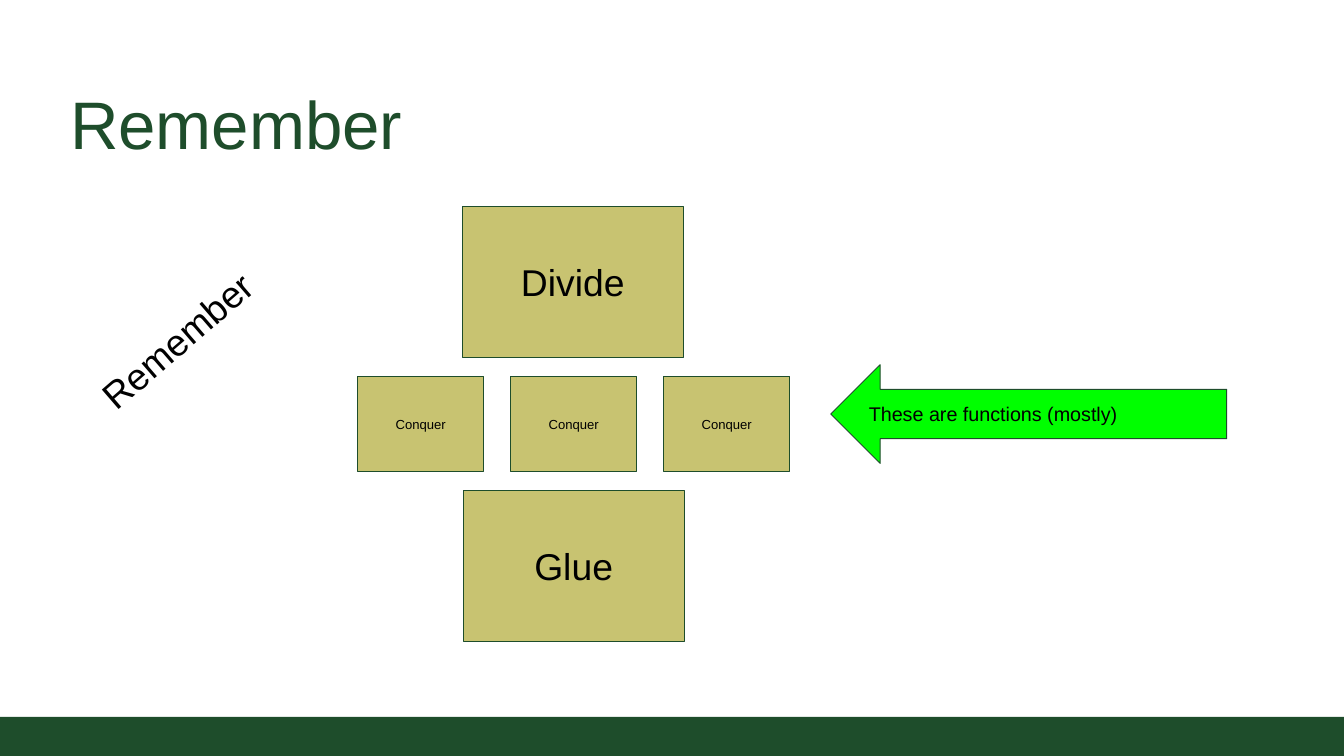
from pptx import Presentation
from pptx import util as u
from pptx.dml.color import RGBColor
from pptx.enum import shapes, text

PX = 9144
GREEN = RGBColor(0x1E, 0x4D, 0x2B)
SAND = RGBColor(0xC8, 0xC3, 0x71)
LIME = RGBColor(0x00, 0xFF, 0x00)
BLACK = RGBColor(0x00, 0x00, 0x00)

RECTANGLE = shapes.MSO_SHAPE.RECTANGLE
LEFT_ARROW = shapes.MSO_SHAPE.LEFT_ARROW
LEFT, CENTER = text.PP_ALIGN.LEFT, text.PP_ALIGN.CENTER
TOP, MIDDLE, BOTTOM = (text.MSO_ANCHOR.TOP, text.MSO_ANCHOR.MIDDLE,
                       text.MSO_ANCHOR.BOTTOM)


def emu(*lengths):
    """Turn px lengths into EMU."""
    return [u.Emu(length * PX) for length in lengths]


def write(shape, words, size, color=BLACK, align=LEFT, anchor=MIDDLE, inset=15):
    """Fill a shape with one formatted line of text."""
    frame = shape.text_frame
    frame.word_wrap = True
    frame.vertical_anchor = anchor
    (frame.margin_left, frame.margin_top,
     frame.margin_right, frame.margin_bottom) = emu(*[inset] * 4)
    frame.text = words
    paragraph = frame.paragraphs[0]
    paragraph.alignment = align
    font = paragraph.runs[0].font
    font.name, font.size = "Arial", u.Pt(size)
    font.color.rgb = color


def add_label(slide, box, words, size, **style):
    """Add a text box and return it."""
    label = slide.shapes.add_textbox(*emu(*box))
    write(label, words, size, **style)
    return label


def add_block(slide, kind, box, fill, outlined=True):
    """Add a filled preset shape and return it."""
    block = slide.shapes.add_shape(kind, *emu(*box))
    block.shadow.inherit = False
    block.fill.solid()
    block.fill.fore_color.rgb = fill
    if outlined:
        block.line.color.rgb = GREEN
        block.line.width = u.Pt(0.75)
    else:
        block.line.fill.background()
    return block


def add_step(slide, box, words, size):
    """Add a sand-coloured step of the method."""
    step = add_block(slide, RECTANGLE, box, SAND)
    write(step, words, size, align=CENTER)


def main():
    """Build the slide and save it."""
    presentation = Presentation()
    presentation.slide_width, presentation.slide_height = emu(1511, 850)
    slide = presentation.slides.add_slide(presentation.slide_layouts[6])

    add_block(slide, RECTANGLE, (0, 806, 1511, 44), GREEN, outlined=False)
    add_label(slide, (69, 82, 1374, 111), "Remember", 54.4,
              color=GREEN, anchor=BOTTOM, inset=10)

    add_step(slide, (520, 232, 248, 170), "Divide", 30.2)
    for column in range(3):
        add_step(slide, (402 + 172 * column, 423, 142, 107), "Conquer", 10.6)
    add_step(slide, (521, 551, 248, 170), "Glue", 30.2)

    reminder = add_label(slide, (78, 311, 324, 107), "Remember", 30.2, anchor=TOP)
    reminder.rotation = 319.2

    arrow = add_block(slide, LEFT_ARROW, (934, 410, 445, 111), LIME)
    write(arrow, "These are functions (mostly)", 16)

    presentation.save("out.pptx")


if __name__ == "__main__":
    main()
